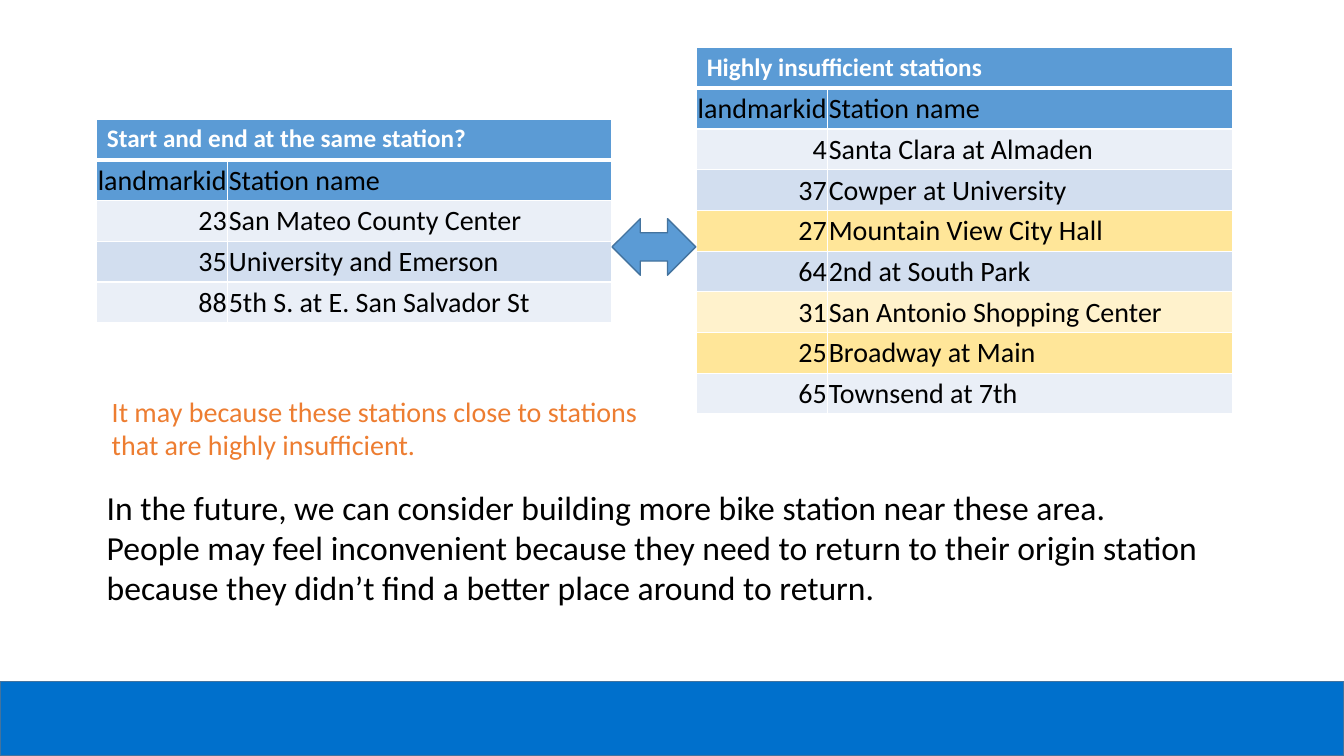
from dataclasses import dataclass
from typing import Any

from lxml.etree import SubElement
from pptx import Presentation
from pptx.dml.color import RGBColor
from pptx.enum.shapes import MSO_SHAPE
from pptx.enum.text import MSO_ANCHOR, MSO_AUTO_SIZE, PP_ALIGN
from pptx.oxml.ns import qn
from pptx.util import Inches, Pt

WIDE, HIGH = 13.33, 7.5
ROW = 5.39  # height of a table row, in percent of the slide
KEY = 9.75  # width of the id column, in percent of the slide

HUES = {
    "blue": "5B9BD5", "edge": "43739E", "band": "0070CC",
    "pale": "EAEFF7", "mist": "D2DEEF", "gold": "FFE699", "cream": "FFF2CC",
    "note": "ED7D31", "black": "000000", "white": "FFFFFF",
}
HEAD = {"size": Pt(18), "bold": True, "name": "Calibri"}
CELL = {"size": Pt(20), "bold": False, "name": "Calibri"}
TIGHT = {
    "margin_left": Inches(0.01), "margin_right": Inches(0.01),
    "margin_top": Inches(0.01), "margin_bottom": 0,
    "vertical_anchor": MSO_ANCHOR.MIDDLE,
}
FLOW = {"word_wrap": True, "auto_size": MSO_AUTO_SIZE.SHAPE_TO_FIT_TEXT}


@dataclass
class Box:
    """A place on the slide, in percent of its width and height."""
    x: float
    y: float
    w: float
    h: float

    def spot(self) -> tuple[int, ...]:
        sides = (WIDE, HIGH, WIDE, HIGH)
        parts = (self.x, self.y, self.w, self.h)
        return tuple(Inches(p * s / 100) for p, s in zip(parts, sides))


@dataclass
class Grid:
    """A station table; each row holds id, name and fill."""
    x: float
    y: float
    name_w: float
    title: str
    rows: list[tuple[str, str, str]]


@dataclass
class Form:
    kind: MSO_SHAPE
    box: Box
    fill: str


@dataclass
class Note:
    box: Box
    lines: list[str]
    size: int
    hue: str


BAND = Form(MSO_SHAPE.RECTANGLE, Box(0, 90.13, 100, 9.87), "band")
ARROW = Form(MSO_SHAPE.LEFT_RIGHT_ARROW, Box(45.54, 28.93, 6.23, 7.47), "blue")
GRIDS = [
    Grid(51.84, 6.27, 30.16, "Highly insufficient stations", [
        ("4", "Santa Clara at Almaden", "pale"),
        ("37", "Cowper at University", "mist"),
        ("27", "Mountain View City Hall", "gold"),
        ("64", "2nd at South Park", "mist"),
        ("31", "San Antonio Shopping Center", "cream"),
        ("25", "Broadway at Main", "gold"),
        ("65", "Townsend at 7th", "pale"),
    ]),
    Grid(7.2, 15.73, 28.58, "Start and end at the same station?", [
        ("23", "San Mateo County Center", "pale"),
        ("35", "University and Emerson", "mist"),
        ("88", "5th S. at E. San Salvador St", "pale"),
    ]),
]
NOTES = [
    Note(Box(7.58, 51.47, 42.01, 10.27), [
        "It may because these stations close to stations",
        "that are highly insufficient.",
    ], 20, "note"),
    Note(Box(7.2, 63.73, 87.62, 17.47), [
        "In the future, we can consider building more bike station near these area.",
        "People may feel inconvenient because they need to return to their origin "
        "station because they didn’t find a better place around to return.",
    ], 24, "black"),
]


def tint(name: str) -> RGBColor:
    return RGBColor.from_string(HUES[name])


def apply(item: Any, values: dict[str, Any]) -> None:
    for key, value in values.items():
        setattr(item, key, value)


def paint(item: Any, hue: str) -> None:
    item.fill.solid()
    item.fill.fore_color.rgb = tint(hue)


def edge(cell: Any, top: int, base: int) -> None:
    """Give a cell white borders, with top and base widths in points."""
    props = cell._tc.get_or_add_tcPr()
    for side, width in zip("LRTB", (1, 1, top, base)):
        line = SubElement(props, qn(f"a:ln{side}"), w=str(Pt(width)))
        fill = SubElement(line, qn("a:solidFill"))
        SubElement(fill, qn("a:srgbClr"), val=HUES["white"])


def draw_grid(slide: Any, grid: Grid) -> None:
    rows = [(grid.title, "", "blue"), ("landmarkid", "Station name", "blue")]
    rows += grid.rows
    box = Box(grid.x, grid.y, KEY + grid.name_w, ROW * len(rows))
    table = slide.shapes.add_table(len(rows), 2, *box.spot()).table
    for col, width in zip(table.columns, (KEY, grid.name_w)):
        col.width = Inches(width * WIDE / 100)
    for row in table.rows:
        row.height = Inches(ROW * HIGH / 100)
    table.cell(0, 0).merge(table.cell(0, 1))
    for r, (*texts, hue) in enumerate(rows):
        for c, text in enumerate(texts):
            cell = table.cell(r, c)
            edge(cell, 3 if r == 1 else 1, 3 if r == 0 else 1)
            paint(cell, hue)
            if r:
                apply(cell, TIGHT)
            if not text:
                continue
            cell.text = text
            para = cell.text_frame.paragraphs[0]
            para.alignment = PP_ALIGN.RIGHT if r > 1 and c == 0 else PP_ALIGN.LEFT
            apply(para.runs[0].font, CELL if r else HEAD)
            para.runs[0].font.color.rgb = tint("black" if r else "white")


def draw_form(slide: Any, form: Form) -> None:
    shape = slide.shapes.add_shape(form.kind, *form.box.spot())
    shape.shadow.inherit = False
    paint(shape, form.fill)
    shape.line.color.rgb = tint("edge")
    shape.line.width = Pt(1)


def draw_note(slide: Any, note: Note) -> None:
    frame = slide.shapes.add_textbox(*note.box.spot()).text_frame
    apply(frame, FLOW)
    frame.text = "\n".join(note.lines)
    for para in frame.paragraphs:
        apply(para.font, {"size": Pt(note.size), "name": "Calibri"})
        para.font.color.rgb = tint(note.hue)


def main() -> None:
    deck = Presentation()
    apply(deck, {"slide_width": Inches(WIDE), "slide_height": Inches(HIGH)})
    slide = deck.slides.add_slide(deck.slide_layouts[6])
    draw_form(slide, BAND)
    for grid in GRIDS:
        draw_grid(slide, grid)
    for note in NOTES:
        draw_note(slide, note)
    draw_form(slide, ARROW)
    deck.save("out.pptx")


if __name__ == "__main__":
    main()
